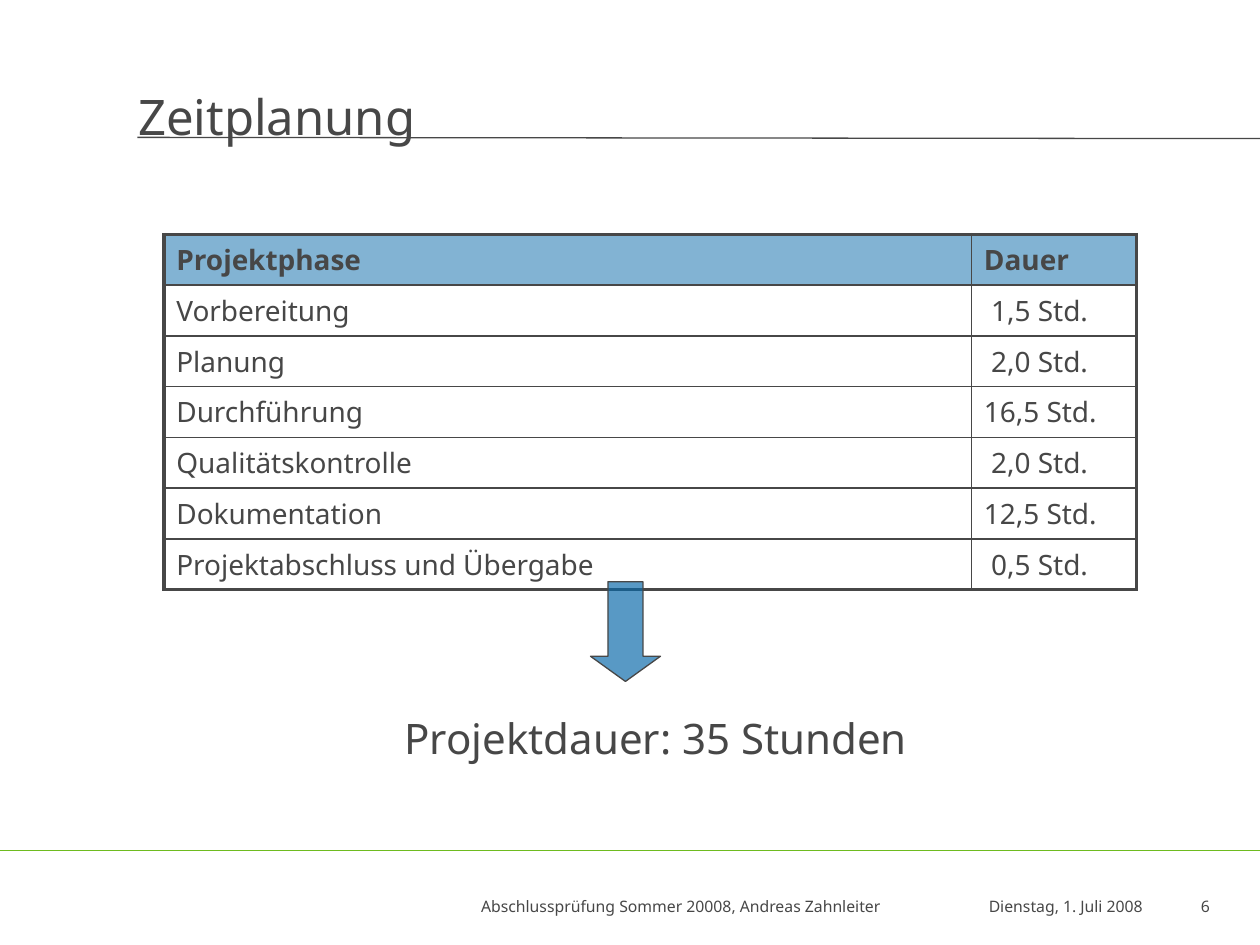
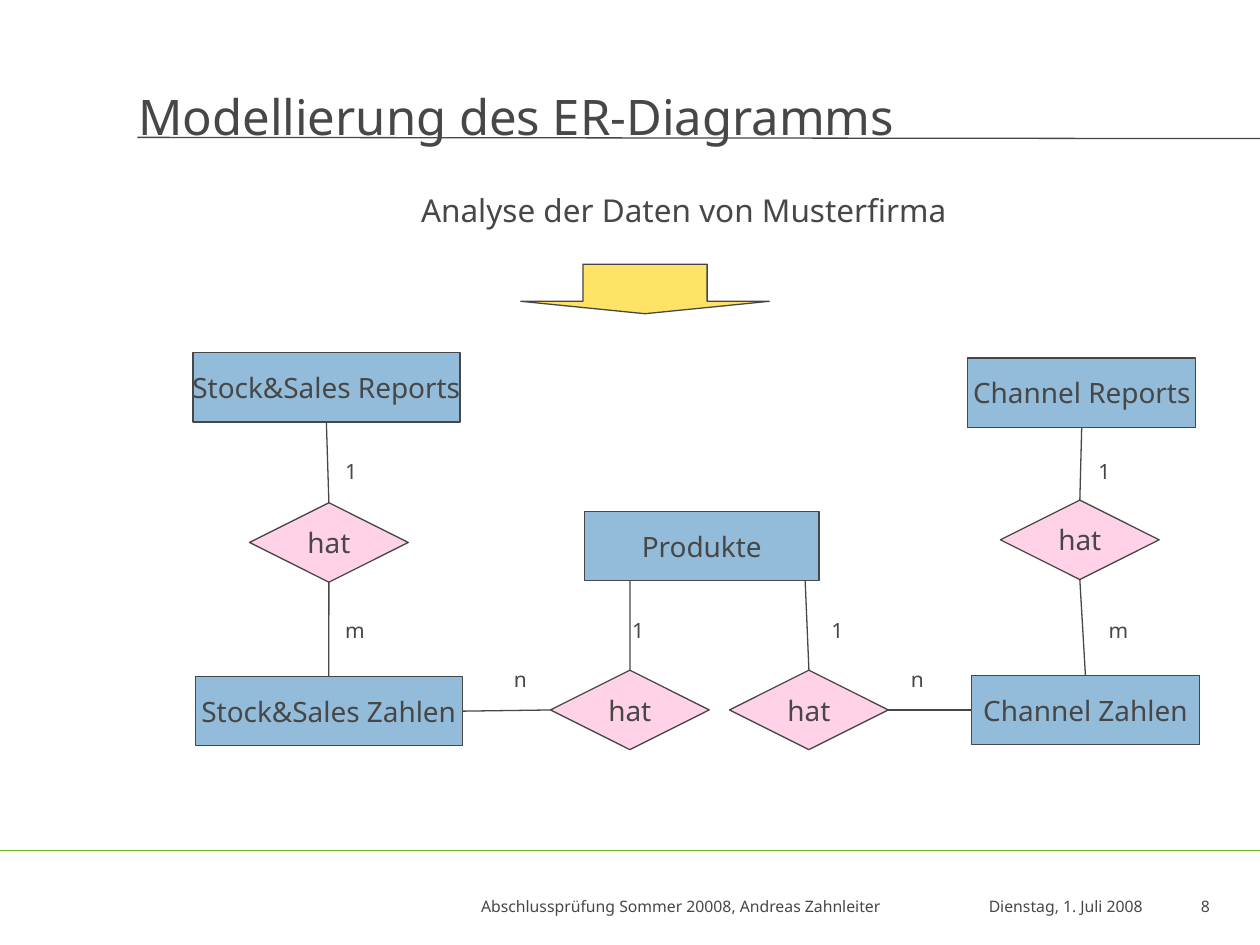
from lxml import etree
from pptx import Presentation
from pptx.dml.color import RGBColor
from pptx.enum.shapes import MSO_CONNECTOR, MSO_SHAPE
from pptx.enum.text import MSO_ANCHOR, PP_ALIGN
from pptx.oxml.ns import qn
from pptx.util import Pt

INK = RGBColor(0x47, 0x47, 0x47)
GREEN = RGBColor(0x6E, 0xBB, 0x1F)
BLUE = RGBColor(0x07, 0x68, 0xA9)
PINK = RGBColor(0xFF, 0x99, 0xCC)
YELLOW = RGBColor(0xFF, 0xD1, 0x00)
FONT = "Noto Sans"
LEFT, CENTER, RIGHT = PP_ALIGN.LEFT, PP_ALIGN.CENTER, PP_ALIGN.RIGHT
TOP, MIDDLE, BOTTOM = MSO_ANCHOR.TOP, MSO_ANCHOR.MIDDLE, MSO_ANCHOR.BOTTOM
STRAIGHT = MSO_CONNECTOR.STRAIGHT
ARROW = MSO_SHAPE.DOWN_ARROW
PROCESS = MSO_SHAPE.FLOWCHART_PROCESS
CHOICE = MSO_SHAPE.FLOWCHART_DECISION
UP, WEST, DOWN, EAST = range(4)
WIDTH, HEIGHT = 720, 540
THIN, THICK = 1, 2.25

PHASES = [
    ("Projektphase", "Dauer"),
    ("Vorbereitung", " 1,5 Std."),
    ("Planung", " 2,0 Std."),
    ("Durchführung", "16,5 Std."),
    ("Qualitätskontrolle", " 2,0 Std."),
    ("Dokumentation", "12,5 Std."),
    ("Projektabschluss und Übergabe", " 0,5 Std."),
]


def write(frame, text, size=16, bold=False, align=LEFT, anchor=TOP, wrap=True):
    frame.word_wrap = wrap
    frame.vertical_anchor = anchor
    para = frame.paragraphs[0]
    para.alignment = align
    run = para.add_run()
    run.text = text
    run.font.name = FONT
    run.font.size = Pt(size)
    run.font.bold = bold
    run.font.color.rgb = INK


def label(slide, box, text, **style):
    area = slide.shapes.add_textbox(*map(Pt, box))
    write(area.text_frame, text, **style)


def tint(fill, props, color, alpha):
    fill.solid()
    fill.fore_color.rgb = color
    tone = props.find(qn("a:solidFill")).find(qn("a:srgbClr"))
    etree.SubElement(tone, qn("a:alpha"), val=str(alpha * 1000))


def block(slide, kind, box, color, alpha, text=""):
    shape = slide.shapes.add_shape(kind, *map(Pt, box))
    shape.shadow.inherit = False
    tint(shape.fill, shape._element.spPr, color, alpha)
    shape.line.color.rgb = INK
    shape.line.width = Pt(0.75)
    if text:
        write(shape.text_frame, text, align=CENTER, anchor=MIDDLE, wrap=False)
    return shape


def arrow(slide, box, color, alpha, head):
    shape = block(slide, ARROW, box, color, alpha)
    shape.adjustments[0] = 0.5
    shape.adjustments[1] = head


def line(slide, start, end, color=INK, width=0.75):
    link = slide.shapes.add_connector(STRAIGHT, *map(Pt, (*start, *end)))
    link.line.color.rgb = color
    link.line.width = Pt(width)
    etree.SubElement(link._element.spPr, qn("a:effectLst"))
    return link


def join(slide, first, site, last, goal):
    link = line(slide, (0, 0), (0, 0))
    link.begin_connect(first, site)
    link.end_connect(last, goal)


def head(slide, box, text):
    x, y, w, h = box
    label(slide, box, text, size=28, anchor=BOTTOM)
    line(slide, (x + 6.5, y + 37.5), (WIDTH, y + 38.2))


def foot(slide, box, number):
    x, y, w, h = box
    line(slide, (x + w, y), (x, y), GREEN, 1)
    parts = [
        (242, 268, "Abschlussprüfung Sommer 20008, Andreas Zahnleiter"),
        (510, 150, "Dienstag, 1. Juli 2008"),
        (660, 38.4, str(number)),
    ]
    for left, wide, text in parts:
        label(slide, (x + left, y + 23, wide, 18), text,
              size=9, align=RIGHT, anchor=MIDDLE)


def edge(cell, widths):
    props = cell._tc.get_or_add_tcPr()
    for place, (side, width) in enumerate(zip("LRTB", widths)):
        rule = etree.Element(qn("a:ln" + side), w=str(Pt(width)))
        paint = etree.SubElement(rule, qn("a:solidFill"))
        etree.SubElement(paint, qn("a:srgbClr"), val=str(INK))
        props.insert(place, rule)


def grid(slide, box, rows):
    x, y, w, h = box
    last = len(rows) - 1
    table = slide.shapes.add_table(len(rows), 2, *map(Pt, box)).table
    table.first_row = table.horz_banding = False
    for column, wide in zip(table.columns, (461.5, w - 461.5)):
        column.width = Pt(wide)
    for r, row in enumerate(rows):
        table.rows[r].height = Pt(h / len(rows))
        for c, text in enumerate(row):
            cell = table.cell(r, c)
            write(cell.text_frame, text, bold=r == 0)
            if r == 0:
                tint(cell.fill, cell._tc.get_or_add_tcPr(), BLUE, 50)
            else:
                cell.fill.background()
            outer = (c == 0, c == 1, r == 0, r == last)
            edge(cell, [THICK if side else THIN for side in outer])


def model(slide, box):
    x, y, w, h = box

    def thing(left, top, wide, text):
        return block(slide, PROCESS, (x + left, y + top, wide, 39.6),
                     BLUE, 44, text)

    def bond(left, top):
        return block(slide, CHOICE, (x + left, y + top, 90.7, 45.4),
                     PINK, 44, "hat")

    stock = thing(0, 0, 152.6, "Stock&Sales Reports")
    stats = thing(1.4, 185, 152.6, "Stock&Sales Zahlen")
    goods = thing(223.9, 90.7, 133.9, "Produkte")
    trade = thing(442.8, 2.9, 130.3, "Channel Reports")
    counts = thing(444.9, 184.3, 130.3, "Channel Zahlen")
    west, east = bond(32.4, 85.7), bond(461.5, 84.2)
    near, far = bond(204.4, 181.4), bond(306.7, 181.4)

    join(slide, stock, DOWN, west, UP)
    join(slide, west, DOWN, stats, UP)
    join(slide, trade, DOWN, east, UP)
    join(slide, east, DOWN, counts, UP)
    join(slide, near, WEST, stats, EAST)
    join(slide, counts, WEST, far, EAST)
    base = y + 130.3
    for left, item in ((249.8, near), (349.9, far)):
        link = line(slide, (x + left, base), (x + left, base))
        link.end_connect(item, UP)

    marks = [
        (79.9, 56.9, "1"), (510.4, 56.9, "1"),
        (79.9, 147.6, "m"), (244, 147.6, "1"),
        (357.8, 147.6, "1"), (516.2, 147.6, "m"),
        (176.4, 176, "n"), (403.2, 176, "n"),
    ]
    for left, top, text in marks:
        label(slide, (x + left, y + top, 28, 21.6), text, size=12)


def start(deck, title, number):
    slide = deck.slides.add_slide(deck.slide_layouts[6])
    head(slide, (72, 41, 626.4, 45.4), title)
    foot(slide, (0, 486, WIDTH, 54), number)
    return slide


def plan(deck):
    slide = start(deck, "Zeitplanung", 6)
    grid(slide, (93.6, 134, 555.8, 203), PHASES)
    label(slide, (224, 403.5, 317.5, 36), "Projektdauer: 35 Stunden", size=24)
    arrow(slide, (337.4, 332.4, 40, 57), BLUE, 67, 0.36)


def design(deck):
    slide = start(deck, "Modellierung des ER-Diagramms", 8)
    label(slide, (233.5, 105.5, 464.9, 32),
          "Analyse der Daten von Musterfirma", size=18)
    arrow(slide, (297.6, 151, 142, 28.3), YELLOW, 60, 0.25)
    model(slide, (110.2, 201.6, 575.2, 226.8))


deck = Presentation()
deck.slide_width, deck.slide_height = Pt(WIDTH), Pt(HEIGHT)
plan(deck)
design(deck)
deck.save("out.pptx")
